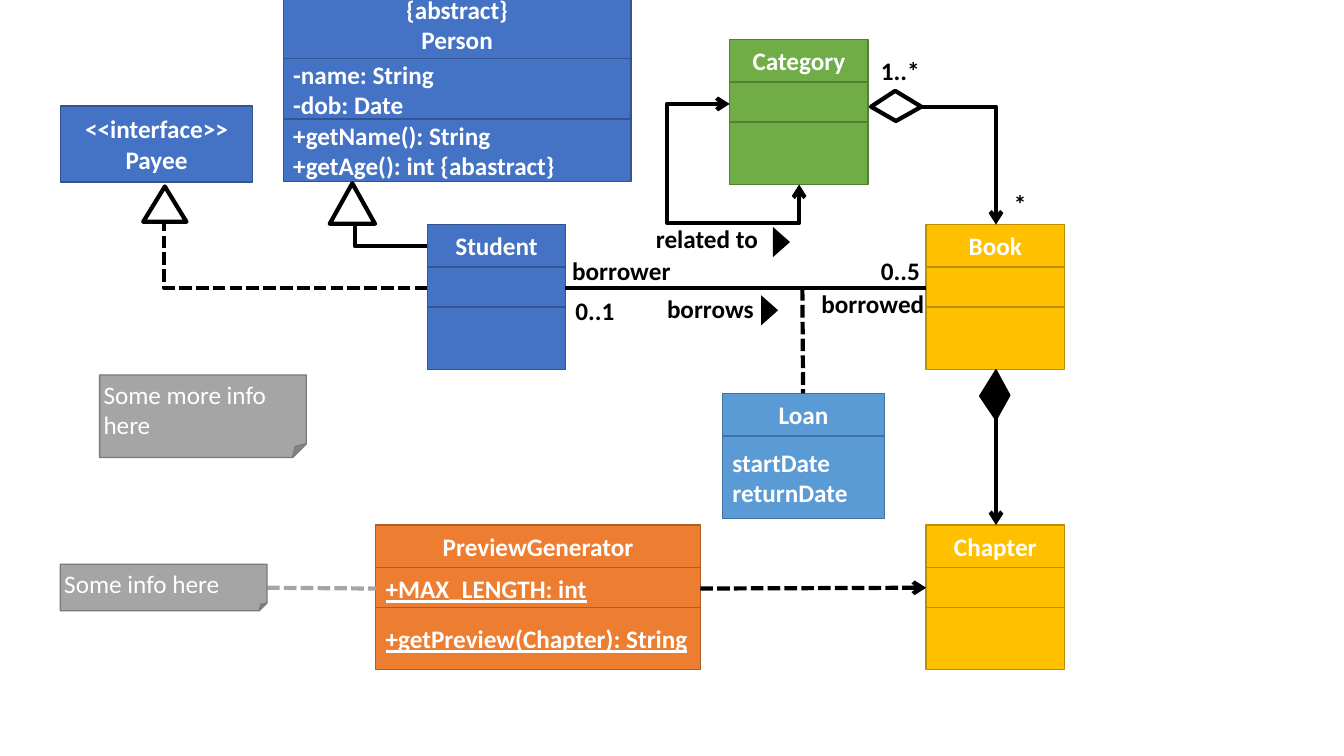
from pptx import Presentation, util as u
from pptx.dml.color import RGBColor
from pptx.enum import dml, shapes, text
from pptx.oxml.ns import qn
from lxml import etree

S = shapes.MSO_SHAPE
LEFT, CENTER = text.PP_ALIGN.LEFT, text.PP_ALIGN.CENTER


class Theme:
    font = "Calibri"
    size = u.Pt(18)
    thin, thick = u.Pt(1), u.Pt(3)
    white, black = "FFFFFF", "000000"
    yellow = ("FFC000", "BD8E00")
    blue = ("4472C4", "325491")
    green = ("70AD47", "538035")
    orange = ("ED7D31", "AF5C24")
    sky = ("5B9BD5", "43739E")
    gray = ("A5A5A5", "7A7A7A")


class Diagram:
    def __init__(self, slide, theme):
        self.s, self.t = slide, theme

    def paint(self, sp, fill=None, line=None, width=None):
        sp.shadow.inherit = False
        if fill:
            sp.fill.solid()
            sp.fill.fore_color.rgb = RGBColor.from_string(fill)
        else:
            sp.fill.background()
        if line:
            sp.line.color.rgb = RGBColor.from_string(line)
            sp.line.width = width or self.t.thin
        else:
            sp.line.fill.background()

    def add_lines(self, tf, lines, color, align=LEFT, bold=True, underline=None):
        fmt = dict(name=self.t.font, size=self.t.size, bold=bold, underline=underline)
        for i, line in enumerate(lines):
            p = tf.paragraphs[0] if i == 0 else tf.add_paragraph()
            p.alignment = align
            r = p.add_run()
            r.text = line
            for key, value in fmt.items():
                setattr(r.font, key, value)
            r.font.color.rgb = RGBColor.from_string(color)

    def shape(self, kind, box, fill=None, line=None, width=None):
        sp = self.s.shapes.add_shape(kind, *map(u.Cm, box))
        self.paint(sp, fill, line, width)
        return sp

    def box(self, frame, colors, lines=(), align=LEFT, underline=None):
        sp = self.shape(S.RECTANGLE, frame, *colors)
        sp.text_frame.vertical_anchor = text.MSO_ANCHOR.MIDDLE
        self.add_lines(sp.text_frame, lines, self.t.white, align, underline=underline)

    def uml_class(self, left, top, width, colors, rows, contents, underline=None):
        for i, ((offset, height), lines) in enumerate(zip(rows, contents)):
            self.box((left, top + offset, width, height), colors, lines,
                     LEFT if i else CENTER, underline if i else None)

    def note(self, frame, line):
        sp = self.shape(S.FOLDED_CORNER, frame, *self.t.gray)
        tf = sp.text_frame
        fmt = dict.fromkeys(("margin_left", "margin_top", "margin_right", "margin_bottom"), u.Cm(0.1))
        fmt.update(word_wrap=True, vertical_anchor=text.MSO_ANCHOR.MIDDLE,
                   auto_size=text.MSO_AUTO_SIZE.SHAPE_TO_FIT_TEXT)
        for key, value in fmt.items():
            setattr(tf, key, value)
        self.add_lines(tf, [line], self.t.white, bold=False)

    def label(self, left, top, width, line):
        tf = self.s.shapes.add_textbox(*map(u.Cm, (left, top, width, 1.02))).text_frame
        tf.word_wrap = True
        tf.auto_size = text.MSO_AUTO_SIZE.SHAPE_TO_FIT_TEXT
        self.add_lines(tf, [line], self.t.black)

    def direction(self, left, top):
        sp = self.shape(S.PENTAGON, (left, top, 0.43, 0.76), self.t.black)
        sp.adjustments[0] = 1.0

    def diamond(self, points, fill, width):
        (x, y), *rest = [tuple(map(u.Cm, pt)) for pt in points]
        fb = self.s.shapes.build_freeform(x, y)
        fb.add_line_segments(rest, close=True)
        self.paint(fb.convert_to_shape(), fill, self.t.black, width)

    def link(self, start, end, color=None, dashed=False, ends=(), bend=None, adj=()):
        kind = shapes.MSO_CONNECTOR.ELBOW if bend else shapes.MSO_CONNECTOR.STRAIGHT
        cn = self.s.shapes.add_connector(kind, *map(u.Cm, (*start, *end)))
        cn.line.color.rgb = RGBColor.from_string(color or self.t.black)
        cn.line.width = self.t.thick
        if dashed:
            cn.line.dash_style = dml.MSO_LINE.SQUARE_DOT
        props = cn._element.spPr
        for name in ends:
            etree.SubElement(props.find(qn("a:ln")), qn(f"a:{name}End"), type="arrow")
        etree.SubElement(props, qn("a:effectLst"))
        if bend:
            geom = props.find(qn("a:prstGeom"))
            geom.set("prst", bend)
            for i, value in enumerate(adj, 1):
                etree.SubElement(geom.find(qn("a:avLst")), qn("a:gd"),
                                 name=f"adj{i}", fmla=f"val {value}")


def main():
    prs = Presentation()
    prs.slide_width, prs.slide_height = u.Cm(33.87), u.Cm(19.05)
    t = Theme()
    d = Diagram(prs.slides.add_slide(prs.slide_layouts[6]), t)

    rows = [(0, 1.07), (1.07, 1.07), (2.08, 1.57)]
    for name, left, top, colors in [
        ("Book", 23.34, 5.66, t.yellow),
        ("Student", 10.77, 5.66, t.blue),
        ("Chapter", 23.34, 13.23, t.yellow),
        ("Category", 18.39, 1, t.green),
    ]:
        d.uml_class(left, top, 3.49, colors, rows, [[name], [], []])
    d.uml_class(9.47, 13.23, 8.18, t.orange, rows,
                [["PreviewGenerator"], ["+MAX_LENGTH: int"], ["+getPreview(Chapter): String"]],
                underline=True)
    d.uml_class(7.14, -0.28, 8.76, t.blue, [(0, 1.8), (1.75, 1.57), (3.28, 1.57)],
                [["{abstract}", "Person"], ["-name: String", "-dob: Date"],
                 ["+getName(): String", "+getAge(): int {abastract}"]])
    d.uml_class(18.21, 9.91, 4.08, t.sky, [(0, 1.07), (1.08, 2.08)],
                [["Loan"], ["startDate", "returnDate"]])
    d.box((1.52, 2.67, 4.85, 1.92), t.blue, ["<<interface>>", "Payee"], CENTER)

    d.link((14.25, 7.26), (23.34, 7.26))
    d.link((25.1, 10.2), (25.1, 13.23), ends=["tail"])
    d.link((17.65, 14.83), (23.34, 14.81), dashed=True, ends=["tail"])
    d.link((20.22, 7.26), (20.24, 9.91), dashed=True)
    d.link((6.73, 14.81), (9.47, 14.83), color=t.gray[0], dashed=True)
    d.link((23.22, 2.69), (25.1, 5.66), ends=["tail"], bend="bentConnector2")
    d.link((10.77, 7.26), (4.14, 5.59), dashed=True, bend="bentConnector2")
    d.link((10.77, 6.2), (8.94, 5.64), bend="bentConnector2")
    d.link((18.39, 2.62), (20.14, 4.65), ends=["head", "tail"],
           bend="bentConnector4", adj=(-90400, 147500))

    d.diamond([(25.1, 9.32), (24.69, 9.98), (25.1, 10.59), (25.45, 9.96)], t.black, t.thin)
    d.diamond([(23.22, 2.69), (22.56, 2.29), (21.95, 2.69), (22.58, 3.05)], None, t.thick)
    d.shape(S.ISOSCELES_TRIANGLE, (3.61, 4.7, 1.09, 0.89), None, t.black, t.thick)
    d.shape(S.FLOWCHART_EXTRACT, (8.31, 4.62, 1.14, 1.02), None, t.black, t.thick)

    d.note((1.52, 14.22, 5.21, 1.17), "Some info here")
    d.note((2.51, 9.45, 5.21, 2.08), "Some more info here")

    for line, left, top, width in [
        ("related to", 16.28, 5.51, 3.3),
        ("1..*", 21.95, 1.27, 1.65),
        ("*", 25.3, 4.62, 1.14),
        ("borrows", 16.56, 7.26, 3),
        ("borrowed", 20.45, 7.14, 3.38),
        ("borrower", 14.17, 6.3, 3.38),
        ("0..5", 21.95, 6.3, 1.65),
        ("0..1", 14.25, 7.32, 1.65),
    ]:
        d.label(left, top, width, line)
    d.direction(19.48, 5.72)
    d.direction(19.18, 7.44)

    prs.save("out.pptx")


if __name__ == "__main__":
    main()
